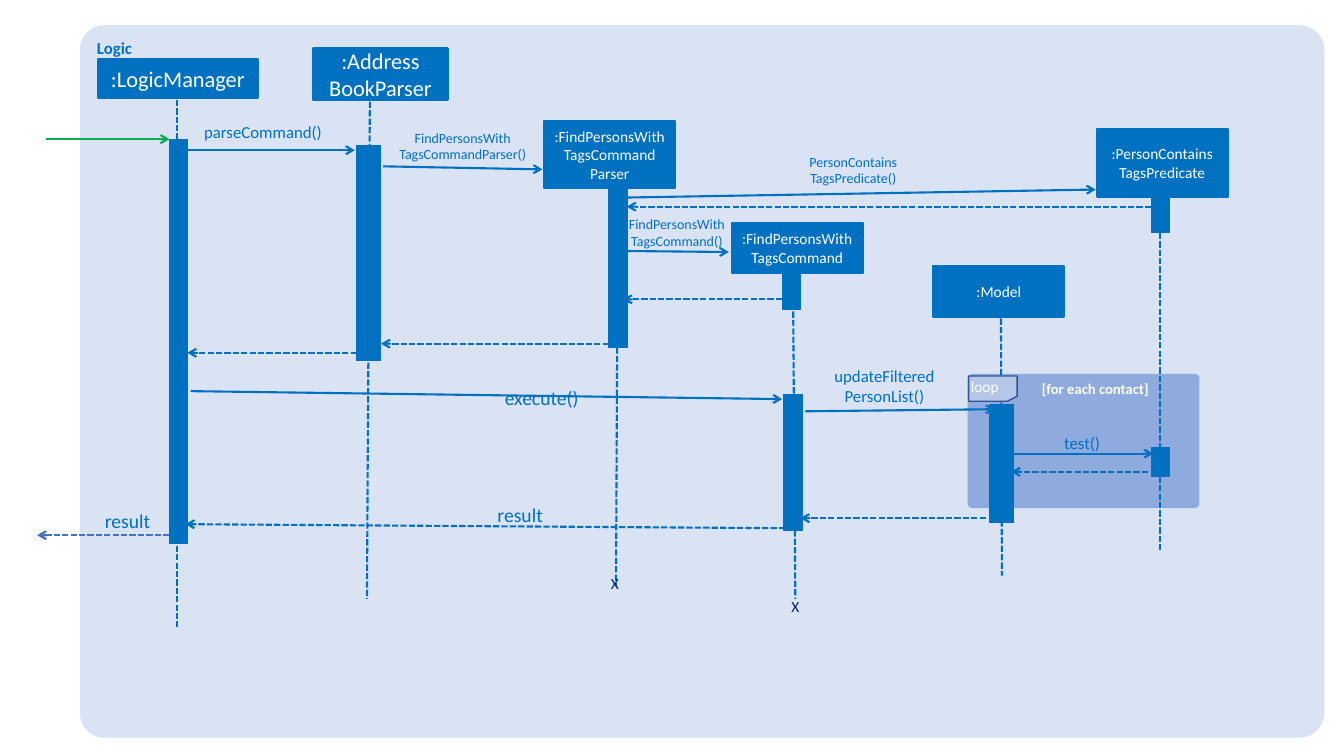
from dataclasses import dataclass

from lxml import etree
from pptx import Presentation
from pptx import util as u
from pptx.dml import color
from pptx.enum import dml, shapes, text
from pptx.oxml import ns

Pt = u.Pt
LEFT, CENTER, RIGHT = text.PP_ALIGN.LEFT, text.PP_ALIGN.CENTER, text.PP_ALIGN.RIGHT
TOP, MIDDLE = text.MSO_ANCHOR.TOP, text.MSO_ANCHOR.MIDDLE


@dataclass(frozen=True)
class Theme:
    font: str = "Calibri"
    main: str = "0070C0"
    panel: str = "DAE3F3"
    loop: str = "8FAADC"
    tag: str = "B4C7E7"
    tag_line: str = "325491"
    entry: str = "00B050"
    leave: str = "4472C4"
    end: str = "002060"
    white: str = "FFFFFF"
    title: float = 16
    large: float = 14
    medium: float = 12
    object: float = 11
    guard: float = 10.5
    small: float = 10
    corner: float = 0.035
    stroke: float = 1.5
    bar_stroke: float = 0.5


def rgb(value):
    return color.RGBColor.from_string(value)


def write(shape, content, font, size, ink, bold=False, align=CENTER, anchor=TOP,
          margins=(0, 0, 0, 0)):
    frame = shape.text_frame
    frame.word_wrap = True
    frame.vertical_anchor = anchor
    frame.margin_left, frame.margin_top, frame.margin_right, frame.margin_bottom = map(Pt, margins)
    for index, line in enumerate(content.split("\n")):
        paragraph = frame.paragraphs[0] if index == 0 else frame.add_paragraph()
        paragraph.alignment = align
        run = paragraph.add_run()
        run.text = line
        run.font.name = font
        run.font.size = Pt(size)
        run.font.bold = bold
        run.font.color.rgb = rgb(ink)


class SequenceDiagram:
    def __init__(self, slide, theme):
        self.slide = slide
        self.theme = theme

    def block(self, kind, box, fill, line=None, width=0):
        shape = self.slide.shapes.add_shape(kind, *map(Pt, box))
        shape.shadow.inherit = False
        shape.fill.solid()
        shape.fill.fore_color.rgb = rgb(fill)
        if line:
            shape.line.color.rgb = rgb(line)
            shape.line.width = Pt(width)
        else:
            shape.line.fill.background()
        return shape

    def frame(self, title, box, fill, size, ink, left=7.2):
        shape = self.block(shapes.MSO_SHAPE.ROUNDED_RECTANGLE, box, fill)
        shape.adjustments[0] = self.theme.corner
        write(shape, title, self.theme.font, size, ink, bold=True, align=LEFT,
              margins=(left, 3.6, 7.2, 3.6))

    def participant(self, name, box, size):
        theme = self.theme
        shape = self.block(shapes.MSO_SHAPE.RECTANGLE, box, theme.main, theme.main, theme.stroke)
        write(shape, name, theme.font, size, theme.white, anchor=MIDDLE, margins=(3.6,) * 4)

    def activation(self, box):
        theme = self.theme
        self.block(shapes.MSO_SHAPE.RECTANGLE, box, theme.main, theme.main, theme.bar_stroke)

    def line(self, ends, ink=None, dashed=False, arrow=True):
        connector = self.slide.shapes.add_connector(shapes.MSO_CONNECTOR.STRAIGHT, *map(Pt, ends))
        connector.line.color.rgb = rgb(ink or self.theme.main)
        connector.line.width = Pt(self.theme.stroke)
        if dashed:
            connector.line.dash_style = dml.MSO_LINE.SQUARE_DOT
        if arrow:
            outline = connector.line._get_or_add_ln()
            etree.SubElement(outline, ns.qn("a:tailEnd"), type="arrow")
        etree.SubElement(connector._element.spPr, ns.qn("a:effectLst"))

    def label(self, content, box, size, ink=None, align=CENTER):
        shape = self.slide.shapes.add_textbox(*map(Pt, box))
        write(shape, content, self.theme.font, size, ink or self.theme.main, align=align)

    def tag(self, content, box):
        theme = self.theme
        shape = self.block(shapes.MSO_SHAPE.FLOWCHART_CARD, box, theme.tag, theme.tag_line, 1)
        shape.rotation = 180
        left, top, width, height = box
        self.label(content, (left + 1.5, top + 0.7, width, height), theme.object, theme.white, LEFT)


theme = Theme()
presentation = Presentation()
presentation.slide_width, presentation.slide_height = Pt(960), Pt(540)
diagram = SequenceDiagram(presentation.slides.add_slide(presentation.slide_layouts[6]), theme)

diagram.frame("Logic", (57, 18, 889, 509), theme.panel, theme.medium, theme.main)
diagram.frame("[for each contact]", (691.2, 267.1, 165.6, 95.8), theme.loop, theme.guard,
              theme.white, left=52)

lifelines = [
    (126.7, 71.3, 126.7, 447.8), (264.2, 72.7, 262.1, 427.7), (441.4, 134, 440, 419),
    (566.6, 222.5, 568.1, 427.7), (715, 227.5, 715.7, 411.1), (828.7, 166.3, 828.7, 393.1),
]
for ends in lifelines:
    diagram.line(ends, dashed=True, arrow=False)

activations = [
    (121, 99.4, 13, 288.7), (254.9, 103.7, 17, 153.4), (434.9, 134, 13, 114.5),
    (558.7, 195.8, 13, 25.2), (559.4, 281.5, 13.7, 97.2), (707, 288.7, 17, 84.2),
    (822.2, 141.1, 13, 25.2), (822.2, 319.7, 13, 20.9),
]
for box in activations:
    diagram.activation(box)

calls = [
    (130.3, 107.3, 253.4, 107.3), (273.6, 118.8, 387.4, 121), (448.6, 141.1, 782.6, 135.4),
    (447.8, 179.3, 520.6, 180), (136.1, 279.4, 558.7, 285.1), (575.3, 293.8, 710.6, 292.3),
    (722.2, 324, 823.7, 324),
]
returns = [
    (822.2, 147.6, 447.8, 147.6), (558.7, 213.8, 445, 213.8), (434.9, 245.5, 272.2, 245.5),
    (254.9, 252, 133.9, 252), (820.1, 337, 722.2, 337), (704.2, 370.1, 571.7, 370.1),
    (560.9, 377.3, 132.5, 374.4),
]
for ends in calls:
    diagram.line(ends)
for ends in returns:
    diagram.line(ends, dashed=True)
diagram.line((33.1, 99.4, 121, 99.4), theme.entry)
diagram.line((121, 382.3, 26.6, 382.3), theme.leave, dashed=True)

participants = [
    (":LogicManager", (69.8, 42.5, 114.5, 27.4), theme.title),
    (":Address\nBookParser", (223.9, 34.6, 95.8, 36.7), theme.title),
    (":FindPersonsWith\nTagsCommand\nParser", (388.8, 86.4, 93.6, 48.2), theme.object),
    (":FindPersonsWith\nTagsCommand", (522.7, 159.1, 93.6, 36), theme.object),
    (":Model", (666.7, 190.1, 93.6, 36), theme.object),
    (":PersonContains\nTagsPredicate", (783.4, 92.2, 93.6, 48.2), theme.object),
]
for name, box, size in participants:
    diagram.participant(name, box, size)

call_labels = [
    ("parseCommand()", (113, 87.1, 149.8, 14.4), theme.medium),
    ("FindPersonsWith\nTagsCommandParser()", (247, 92.2, 167, 24.5), theme.small),
    ("PersonContains\nTagsPredicate()", (554.4, 109.4, 110.2, 24.5), theme.small),
    ("FindPersonsWith\nTagsCommand()", (411.1, 154.1, 144.7, 24.5), theme.small),
    ("updateFiltered\nPersonList()", (541.4, 261.4, 180.7, 28.8), theme.medium),
    ("test()", (682.6, 308.9, 180.7, 14.4), theme.medium),
]
for content, box, size in call_labels:
    diagram.label(content, box, size)

for content, box in [("execute()", (343.4, 275.8, 70, 17.3)),
                     ("result", (47.5, 363.6, 59.8, 17.3)),
                     ("result", (325.4, 359.3, 62.4, 17.3))]:
    diagram.label(content, box, theme.large, align=RIGHT)

for left, top in [(436.3, 410.4), (565.2, 426.2)]:
    diagram.label("X", (left, top, 10, 14), theme.object, theme.end, LEFT)

diagram.tag("loop", (691.9, 268.6, 34.6, 18))

presentation.save("out.pptx")
